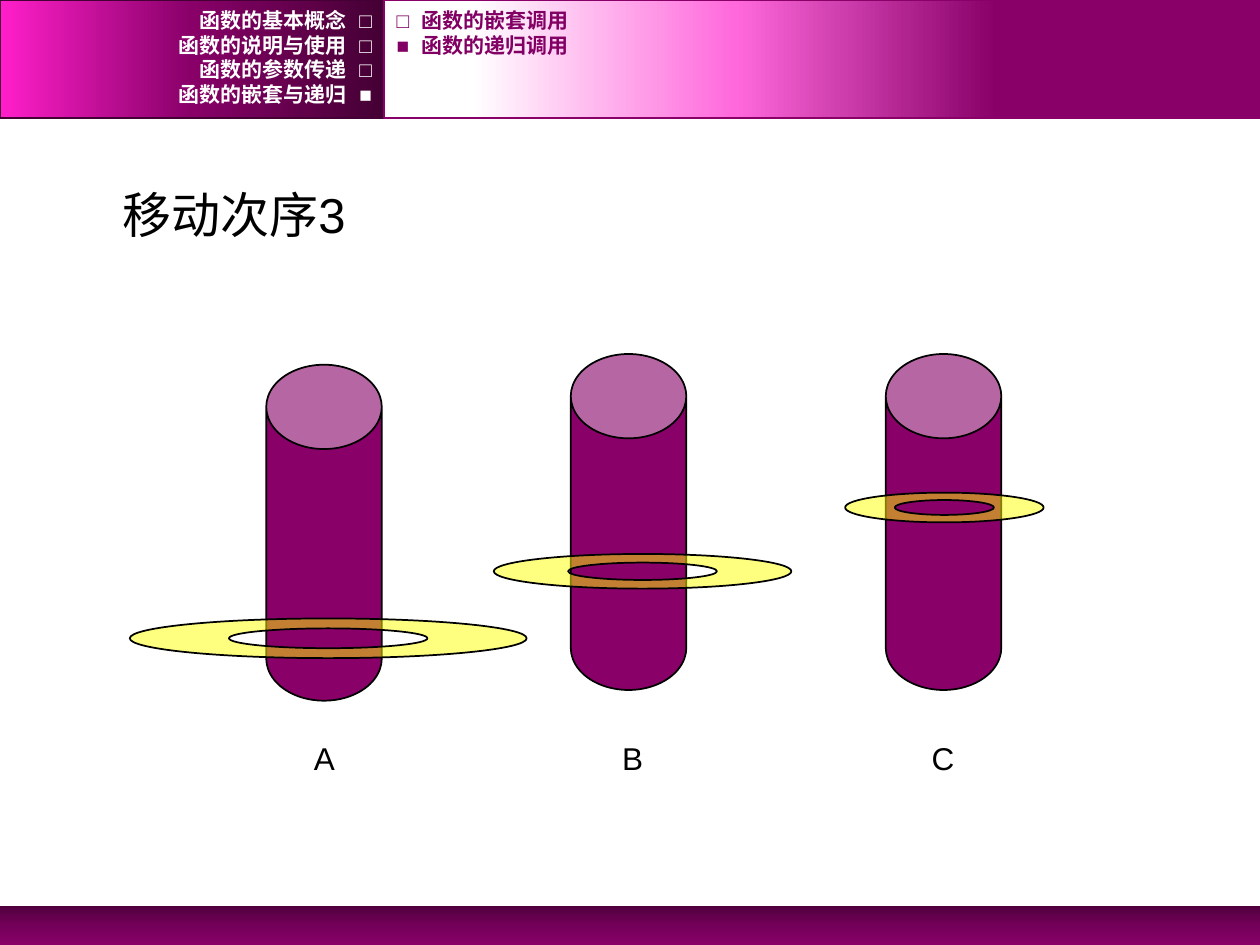
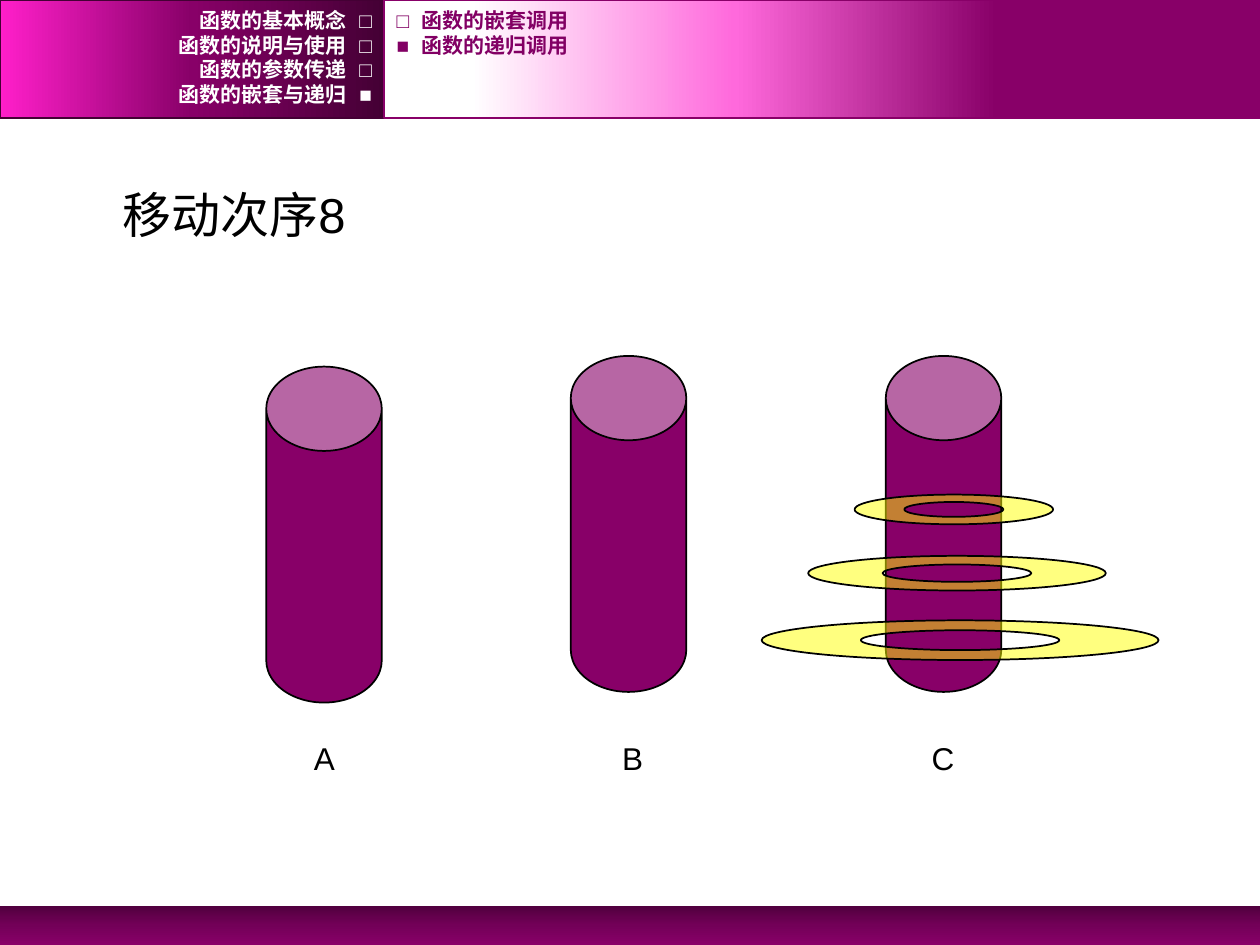
from copy import deepcopy
from dataclasses import dataclass

from lxml.etree import SubElement as sub
from pptx import Presentation
from pptx.dml.color import RGBColor as Rgb
from pptx.enum.shapes import MSO_SHAPE as Kind
from pptx.enum.text import MSO_ANCHOR as Anchor, PP_ALIGN as Align
from pptx.oxml.ns import qn
from pptx.util import Emu, Inches, Pt

COLS, ROWS = 100, 75  # square grid cells
BEND = 0.55  # handle length that turns a quarter into an arc


@dataclass(frozen=True)
class Theme:
    ink: str = "000000"
    white: str = "FFFFFF"
    plum: str = "880068"
    dark: str = "440034"
    menu: str = "820064"
    gold: str = "FFFF00"
    foot: tuple = ((0, "51003E"), (0.5, "730058"), (1, "880068"))
    left: tuple = ((0, "440034"), (0.5, "880068"), (1, "FF1FCA"))
    right: tuple = ((0.3, "880068"), (0.6, "FF69DC"), (0.9, "FFFFFF"))
    sans: str = "Arial"
    mono: str = "Courier New"
    title: int = 28
    label: int = 18
    small: int = 12
    rule: int = 1


def bend(disc):
    """Turn the straight quarters of a disc's outline into arcs."""
    path = next(disc._element.iter(qn("a:path")))
    mid = int(path.get("w")) / 2, int(path.get("h")) / 2
    last = None
    for step in path:
        if step.tag == qn("a:close"):
            continue
        end = [int(step[0].get(axis)) for axis in "xy"]
        if step.tag == qn("a:lnTo"):
            step.tag = qn("a:cubicBezTo")
            pulls = ((last, end), (end, last))
            for spot, (near, far) in enumerate(pulls):
                x, y = (round(n + BEND * (f - m))
                        for n, f, m in zip(near, far, mid))
                pull = deepcopy(step[-1])
                pull.set("x", str(x))
                pull.set("y", str(y))
                step.insert(spot, pull)
        last = end


class Deck:
    """Holds the theme and current slide; lengths are grid cells."""

    def __init__(self, theme):
        self.theme = theme
        self.show = Presentation()
        self.show.slide_width, self.show.slide_height = Inches(10), Inches(7.5)
        self.cell = self.show.slide_width // COLS

    def start(self):
        blank = self.show.slide_layouts[6]
        self.shapes = self.show.slides.add_slide(blank).shapes

    def size(self, *cells):
        return [Emu(round(c * self.cell)) for c in cells]

    def edge(self, shape, color):
        shape.shadow.inherit = False
        if color:
            shape.line.color.rgb = Rgb.from_string(color)
            shape.line.width = Pt(self.theme.rule)
        else:
            shape.line.fill.background()

    def band(self, box, stops, angle, line=None):
        """Draw a gradient bar; the angle runs counter-clockwise."""
        bar = self.shapes.add_shape(Kind.RECTANGLE, *self.size(*box))
        self.edge(bar, line)
        bar.fill.gradient()
        bar.fill.gradient_angle = angle
        marks = next(bar._element.iter(qn("a:gsLst")))
        while len(marks) < len(stops):
            marks.append(deepcopy(marks[0]))
        for mark, (place, color) in zip(bar.fill.gradient_stops, stops):
            mark.position = place
            mark.color.rgb = Rgb.from_string(color)

    def text(self, box, words, size, color, font=None, bold=False,
             align=Align.LEFT, anchor=Anchor.TOP, inset=0, tabs=()):
        font = font or self.theme.sans
        frame = self.shapes.add_textbox(*self.size(*box)).text_frame
        frame.word_wrap = True
        frame.vertical_anchor = anchor
        frame.text = words
        para = frame.paragraphs[0]
        para.alignment = align
        props = para._p.get_or_add_pPr()
        if inset:
            props.set("marL", str(self.size(inset)[0]))
        if tabs:
            stops = sub(props, qn("a:tabLst"))
            for place in self.size(*tabs):
                sub(stops, qn("a:tab"), pos=str(place), algn="ctr")
        for run in para.runs:
            run.font.size = Pt(size)
            run.font.bold = bold
            run.font.color.rgb = Rgb.from_string(color)
            run.font.name = font
            sub(run._r.rPr, qn("a:ea"), typeface=font)

    def peg(self, x, y):
        can = self.shapes.add_shape(Kind.CAN, *self.size(x, y, 9.17, 26.67))
        can.adjustments[0] = 0.73
        can.fill.solid()
        can.fill.fore_color.rgb = Rgb.from_string(self.theme.plum)
        self.edge(can, self.theme.ink)

    def ring(self, x, y, wide, high):
        """Draw a see-through disc about (x, y) with a half-size hole."""
        def quarters(part, turn):
            dx, dy = part * wide / 2, part * turn * high / 2
            return [self.size(*spot) for spot in (
                (x - dx, y), (x, y - dy), (x + dx, y), (x, y + dy))]

        rim, hole = quarters(1, 1), quarters(0.5, -1)
        pen = self.shapes.build_freeform(*rim[0], scale=1.0)
        pen.add_line_segments(rim[1:] + rim[:1], close=True)
        pen.move_to(*hole[0])
        pen.add_line_segments(hole[1:] + hole[:1], close=True)
        disc = pen.convert_to_shape()
        bend(disc)
        disc.fill.solid()
        disc.fill.fore_color.rgb = Rgb.from_string(self.theme.gold)
        tint = next(disc._element.spPr.iter(qn("a:srgbClr")))
        sub(tint, qn("a:alpha"), val="50000")
        self.edge(disc, self.theme.ink)

    def menu(self, x, wide, items, color, align):
        for row, item in enumerate(items):
            self.text((x, 0.6 + 1.95 * row, wide, 2), item, self.theme.small,
                      color, self.theme.mono, True, align, Anchor.MIDDLE)

    def save(self):
        self.show.save("out.pptx")


SPLIT, HEAD, FOOT = 30.5, 9.4, 3.1
TOPICS = ("函数的基本概念 □", "函数的说明与使用 □",
          "函数的参数传递 □", "函数的嵌套与递归 ■")
PARTS = ("□ 函数的嵌套调用", "■ 函数的递归调用")
PEGS = ((21.13, 28.95), (45.3, 28.1), (70.3, 28.1))
# Ring height on the peg, width and thickness, from small to large
RINGS = ((40.28, 15.75, 2.36), (45.34, 23.62, 2.75), (50.66, 31.5, 3.15))
# Step number, downward shift, and the centre of each ring
STEPS = ((3, 0, (74.95, 51, 26.05)), (8, 0.15, (75.7, 75.95, 76.2)))


def bands(deck):
    theme = deck.theme
    deck.band((0, ROWS - FOOT, COLS, FOOT), theme.foot, 270)
    deck.band((0, 0, SPLIT, HEAD), theme.left, 180, theme.dark)
    deck.band((SPLIT, 0, COLS - SPLIT, HEAD), theme.right, 180, theme.plum)


def menus(deck):
    deck.menu(0, SPLIT, TOPICS, deck.theme.white, Align.RIGHT)
    deck.menu(SPLIT, 60.2, PARTS, deck.theme.menu, Align.LEFT)


def main():
    theme = Theme()
    deck = Deck(theme)
    for step, drop, spots in STEPS:
        deck.start()
        bands(deck)
        deck.text((5, 14.15, 89.2, 6.1), f"移动次序{step}", theme.title,
                  theme.ink, inset=3.75)
        for x, y in PEGS:
            deck.peg(x, y + drop)
        for x, (y, wide, high) in zip(spots, RINGS):
            deck.ring(x, y + drop, wide, high)
        deck.text((22, 58.15, 60, 4), "\tA\tB\tC", theme.label, theme.ink,
                  tabs=(2.77, 27.23, 51.85))
        menus(deck)
    deck.save()


if __name__ == "__main__":
    main()
